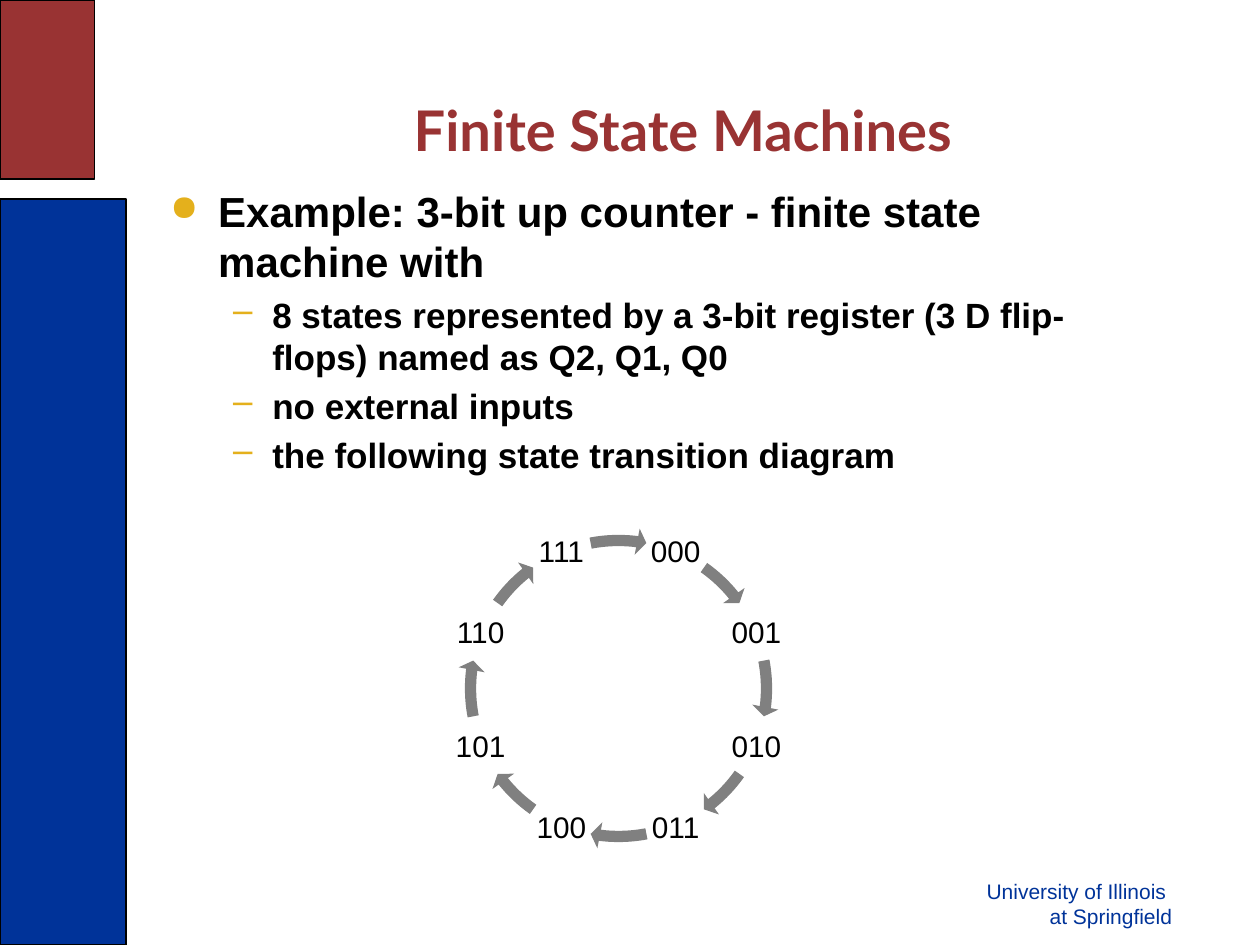
"""Build the slide on finite state machines with its ring of counter states."""
import math

from lxml import etree
from pptx import Presentation
from pptx import util as u
from pptx.dml import color
from pptx.enum import shapes, text
from pptx.oxml import ns

COLORS = {"blue": "003399", "red": "993333", "gold": "E4B01C", "gray": "808080", "black": "000000"}


def assign(target, values):
    for name, value in values.items():
        setattr(target, name, value)


def style(paragraph, size, shade, face="Arial", bold=False):
    for run in paragraph.runs:
        assign(run.font, {"size": u.Pt(size), "name": face, "bold": bold})
        run.font.color.rgb = color.RGBColor.from_string(COLORS[shade])


deck = Presentation()
assign(deck, {"slide_width": u.Cm(25.4), "slide_height": u.Cm(19.05)})
slide = deck.slides.add_slide(deck.slide_layouts[5])

bands = [("blue", 4.01, 2.54, 15.04), ("red", 0, 1.9, 3.61)]
for shade, top, width, height in bands:
    band = slide.shapes.add_shape(
        shapes.MSO_SHAPE.RECTANGLE, u.Cm(0), u.Cm(top), u.Cm(width), u.Cm(height))
    band.shadow.inherit = False
    band.fill.solid()
    band.fill.fore_color.rgb = color.RGBColor.from_string(COLORS[shade])
    band.line.color.rgb = color.RGBColor.from_string(COLORS["black"])
    band.line.width = u.Pt(0.75)

heading = slide.shapes.title
assign(heading, {"left": u.Cm(2.97), "top": u.Cm(1.19), "width": u.Cm(21.59), "height": u.Cm(2.84)})
heading.text_frame.text = "Finite State Machines"
assign(heading.text_frame, {"auto_size": text.MSO_AUTO_SIZE.NONE,
                            "vertical_anchor": text.MSO_ANCHOR.MIDDLE, "word_wrap": True})
heading.text_frame.paragraphs[0].alignment = text.PP_ALIGN.CENTER
style(heading.text_frame.paragraphs[0], 32, "red", "Lato", True)

affiliation = slide.shapes.add_textbox(u.Cm(19.43), u.Cm(17.58), u.Cm(4.45), u.Cm(1.27)).text_frame
affiliation.word_wrap = True
institution = affiliation.paragraphs[0]
institution.alignment = text.PP_ALIGN.RIGHT
institution.add_run().text = "University of Illinois "
institution.add_line_break()
institution.add_run().text = "at Springfield"
style(institution, 12, "blue")

levels = [
    {"size": 24, "margin": 0.97, "hang": 0.97, "mark": "●", "scale": 85},
    {"size": 20, "margin": 2.06, "hang": 0.79, "mark": "–", "scale": 100},
]
points = [
    (0, "Example: 3-bit up counter - finite state machine with"),
    (1, "8 states represented by a 3-bit register (3 D flip-flops) named as Q2, Q1, Q0"),
    (1, "no external inputs"),
    (1, "the following state transition diagram"),
]
example = slide.shapes.add_textbox(u.Cm(3.18), u.Cm(3.61), u.Cm(18.62), u.Cm(7.62)).text_frame
example.word_wrap = True
for index, (level, wording) in enumerate(points):
    look = levels[level]
    point = example.add_paragraph() if index else example.paragraphs[0]
    point.level = level
    point.add_run().text = wording
    props = point._p.get_or_add_pPr()
    props.set("marL", str(u.Cm(look["margin"])))
    props.set("indent", str(-u.Cm(look["hang"])))
    tint = etree.SubElement(props, ns.qn("a:buClr"))
    etree.SubElement(tint, ns.qn("a:srgbClr"), val=COLORS["gold"])
    etree.SubElement(props, ns.qn("a:buSzPct"), val=str(look["scale"] * 1000))
    etree.SubElement(props, ns.qn("a:buChar"), char=look["mark"])
    if index:
        point.space_before = u.Pt(look["size"] * 0.2)
    style(point, look["size"], "black", bold=True)

center_x, center_y, radius = 12.47, 13.88, 3.01
label_side, ring_side = 1.17, 6.5
arcs = [(305.24, 321.14), (349.14, 367.24)]
for state in range(8):
    angle = math.radians(45 * state - 67.5)
    label = slide.shapes.add_textbox(
        u.Cm(center_x + radius * math.cos(angle) - label_side / 2),
        u.Cm(center_y + radius * math.sin(angle) - label_side / 2),
        u.Cm(label_side), u.Cm(label_side)).text_frame
    assign(label, {"word_wrap": True, "vertical_anchor": text.MSO_ANCHOR.MIDDLE})
    assign(label, {f"margin_{side}": u.Cm(0.05) for side in ("left", "right", "top", "bottom")})
    label.text = f"{state:03b}"
    label.paragraphs[0].alignment = text.PP_ALIGN.CENTER
    style(label.paragraphs[0], 17, "black")

    transition = slide.shapes.add_shape(
        shapes.MSO_SHAPE.CIRCULAR_ARROW, u.Cm(center_x - ring_side / 2),
        u.Cm(center_y - ring_side / 2), u.Cm(ring_side), u.Cm(ring_side))
    start, end = [(arc + 90 * (state // 2)) % 360 for arc in arcs[state % 2]]
    for slot, value in enumerate([0.035, 2.17, end * 0.6, start * 0.6, 0.041]):
        transition.adjustments[slot] = value
    transition.shadow.inherit = False
    transition.fill.solid()
    transition.fill.fore_color.rgb = color.RGBColor.from_string(COLORS["gray"])
    transition.line.fill.background()

deck.save("out.pptx")
